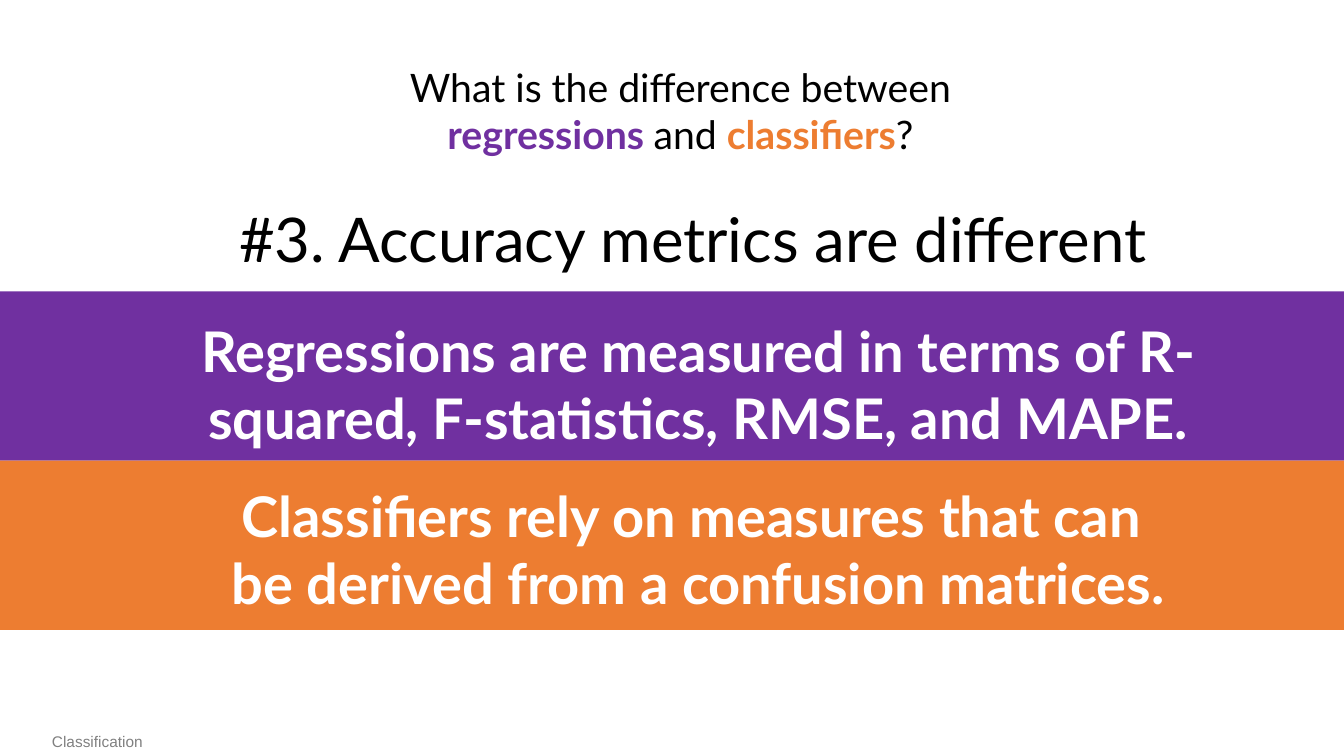
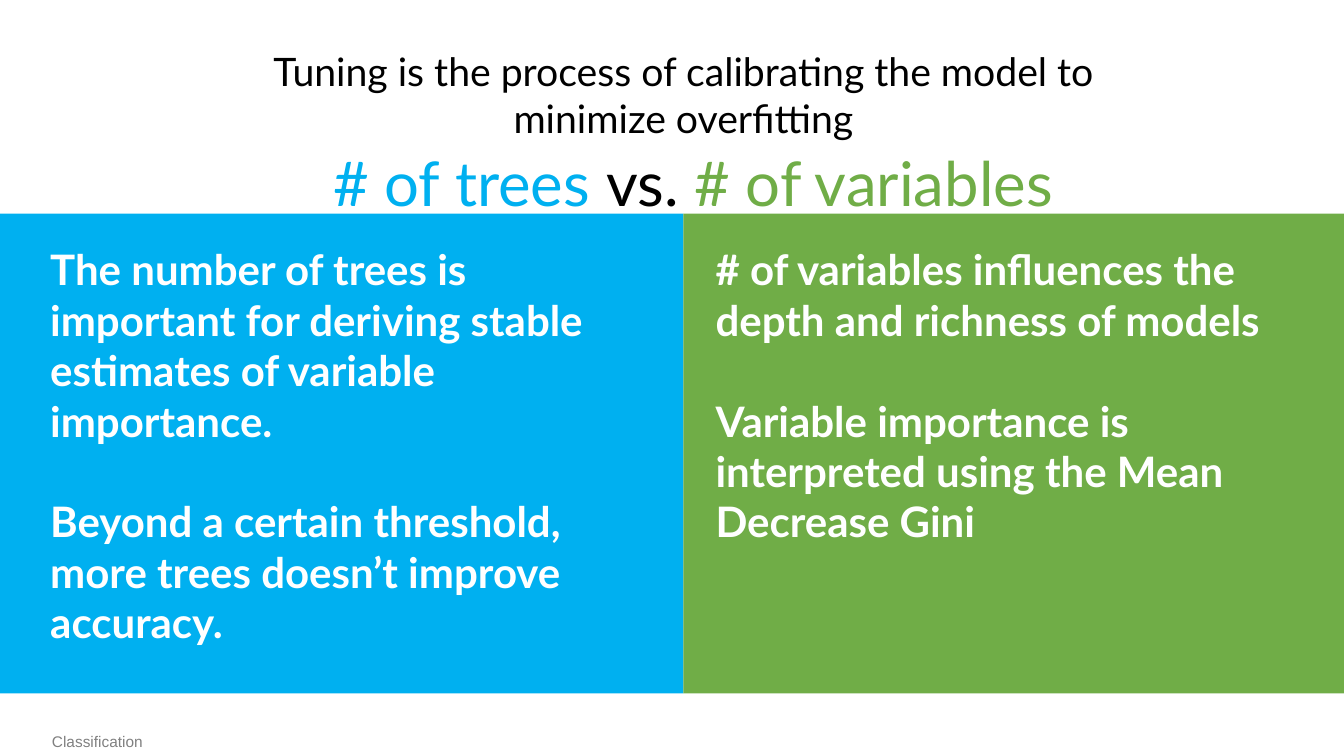
import pptx
import pptx.dml.color
import pptx.enum.shapes
import pptx.enum.text
import pptx.util

COLUMNS, ROWS = 40, 30
PURPLE, ORANGE = "7030A0", "ED7D31"
BLUE, GREEN = "00B0F0", "70AD47"
BLACK, WHITE, GRAY = "000000", "FFFFFF", "808080"


def color(hex_string):
    return pptx.dml.color.RGBColor.from_string(hex_string)


class Deck:
    """Holds the shared style and the current slide; places are grid columns and rows."""

    font = "Lato"
    title_size, heading_size, band_size, panel_size = 28, 44, 40, 30

    def __init__(self):
        self.presentation = pptx.Presentation()
        self.presentation.slide_width = pptx.util.Inches(13.33)
        self.presentation.slide_height = pptx.util.Inches(7.5)
        self.slide = None

    def new_slide(self):
        self.slide = self.presentation.slides.add_slide(self.presentation.slide_layouts[6])
        self.text((1.25, 28.84, 6.8, 1.16), [[("Classification", GRAY)]], 11, font="Arial")

    def place(self, box):
        column, row, width, height = box
        column_width = self.presentation.slide_width / COLUMNS
        row_height = self.presentation.slide_height / ROWS
        return [round(length) for length in (column * column_width, row * row_height,
                                             width * column_width, height * row_height)]

    def block(self, box, fill):
        shape = self.slide.shapes.add_shape(
            pptx.enum.shapes.MSO_SHAPE.RECTANGLE, *self.place(box))
        shape.shadow.inherit = False
        shape.fill.solid()
        shape.fill.fore_color.rgb = color(fill)
        shape.line.fill.background()

    def text(self, box, paragraphs, size, font=None, centered=False, wrap=True, gap=0):
        """Each paragraph is a list of runs: (text, colour) or (text, colour, bold)."""
        frame = self.slide.shapes.add_textbox(*self.place(box)).text_frame
        frame.word_wrap = wrap
        frame.auto_size = pptx.enum.text.MSO_AUTO_SIZE.SHAPE_TO_FIT_TEXT
        align = pptx.enum.text.PP_ALIGN
        for index, runs in enumerate(paragraphs):
            paragraph = frame.add_paragraph() if index else frame.paragraphs[0]
            paragraph.alignment = align.CENTER if centered else align.LEFT
            if index and gap:
                paragraph.space_before = pptx.util.Pt(gap)
            for content, run_color, *bold in runs:
                run = paragraph.add_run()
                run.text = content
                run.font.name = font or self.font
                run.font.size = pptx.util.Pt(size)
                run.font.bold = bool(bold and bold[0])
                run.font.color.rgb = color(run_color)

    def title(self, column, row, paragraphs):
        self.text((column, row, 28.8, 4.16), paragraphs, self.title_size, centered=True)

    def heading(self, row, runs):
        self.text((5.13, row, 31, 3.36), [runs], self.heading_size, centered=True)

    def band_text(self, box, lines, wrap=True):
        self.text(box, [[(line, WHITE, True)] for line in lines], self.band_size,
                  centered=True, wrap=wrap)

    def panel_text(self, box, lines):
        # The gap between paragraphs equals one line
        self.text(box, [[(line, WHITE, True)] for line in lines], self.panel_size,
                  gap=self.panel_size * 1.2)


def accuracy_slide(deck):
    deck.new_slide()
    # Full-width bands
    band_top, band_height = 11.56, 6.72
    for index, fill in enumerate((PURPLE, ORANGE)):
        deck.block((0, band_top + index * band_height, COLUMNS, band_height), fill)
    # Title and heading
    deck.title(6, 2.32, [
        [("What is the difference between ", BLACK)],
        [("regressions ", PURPLE, True), ("and ", BLACK),
         ("classifiers", ORANGE, True), ("? ", BLACK)],
    ])
    deck.heading(7.76, [("#3. Accuracy metrics are different", BLACK)])
    # Band statements
    deck.band_text((5.13, 12.36, 31.3, 8.48), [
        "Regressions are measured in terms of R-squared, F-statistics, RMSE, and MAPE."])
    deck.band_text((6.3, 18.92, 28.95, 5.8), [
        "Classifiers rely on measures that can ",
        "be derived from a confusion matrices."], wrap=False)


def tuning_slide(deck):
    deck.new_slide()
    # Side-by-side panels
    split, panel_top, panel_height = 20.34, 8.48, 19.04
    deck.block((0, panel_top, split, panel_height), BLUE)
    deck.block((split, panel_top, COLUMNS - split, panel_height), GREEN)
    # Title and heading
    deck.title(5.94, 1.68, [
        [("Tuning is the process of calibrating the model to minimize overfitting", BLACK)]])
    deck.heading(5.56, [("# of trees ", BLUE), ("vs. ", BLACK), ("# of variables", GREEN)])
    # Panel texts
    text_top = panel_top + 1
    deck.panel_text((1.2, text_top, 18.48, 16.56), [
        "The number of trees is important for deriving stable estimates of variable importance.",
        "Beyond a certain threshold, more trees doesn’t improve accuracy."])
    deck.panel_text((21, text_top, 18.75, 12.52), [
        "# of variables influences the depth and richness of models",
        "Variable importance is interpreted using the Mean Decrease Gini"])


def main():
    deck = Deck()
    accuracy_slide(deck)
    tuning_slide(deck)
    deck.presentation.save("out.pptx")


if __name__ == "__main__":
    main()
